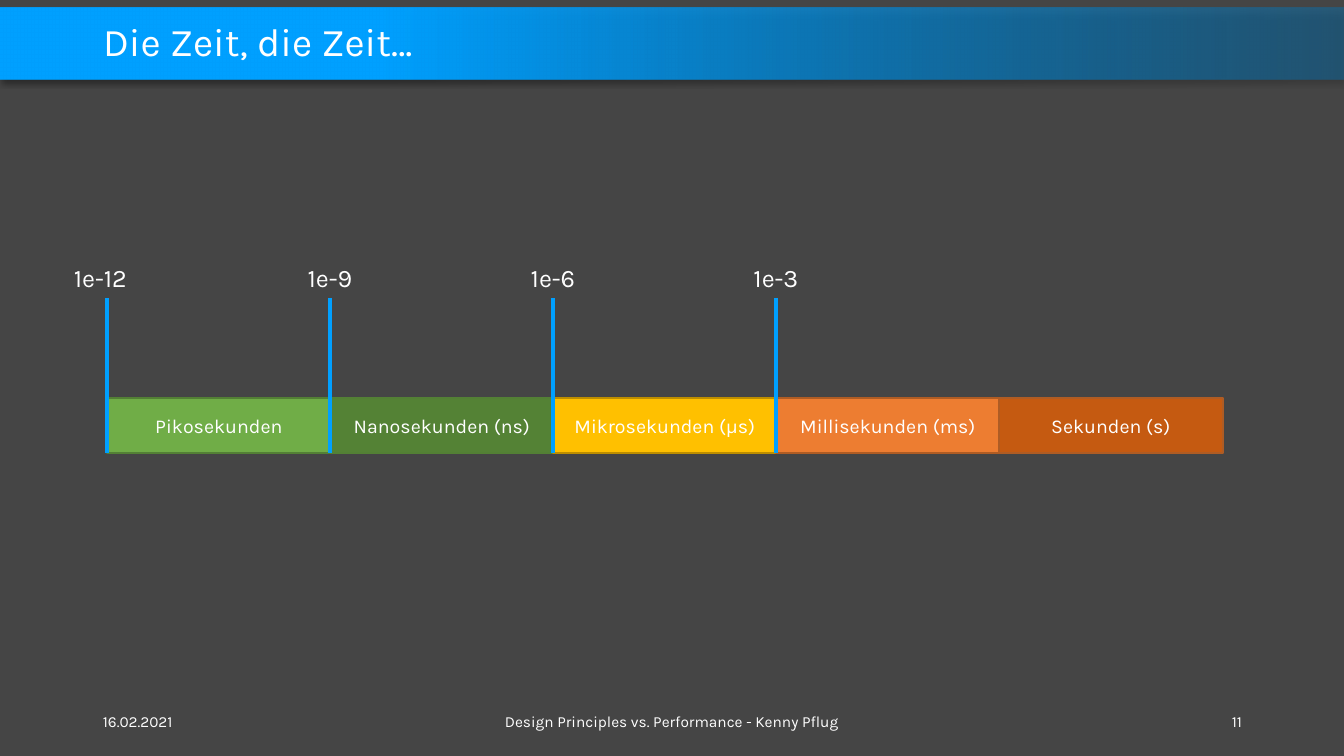
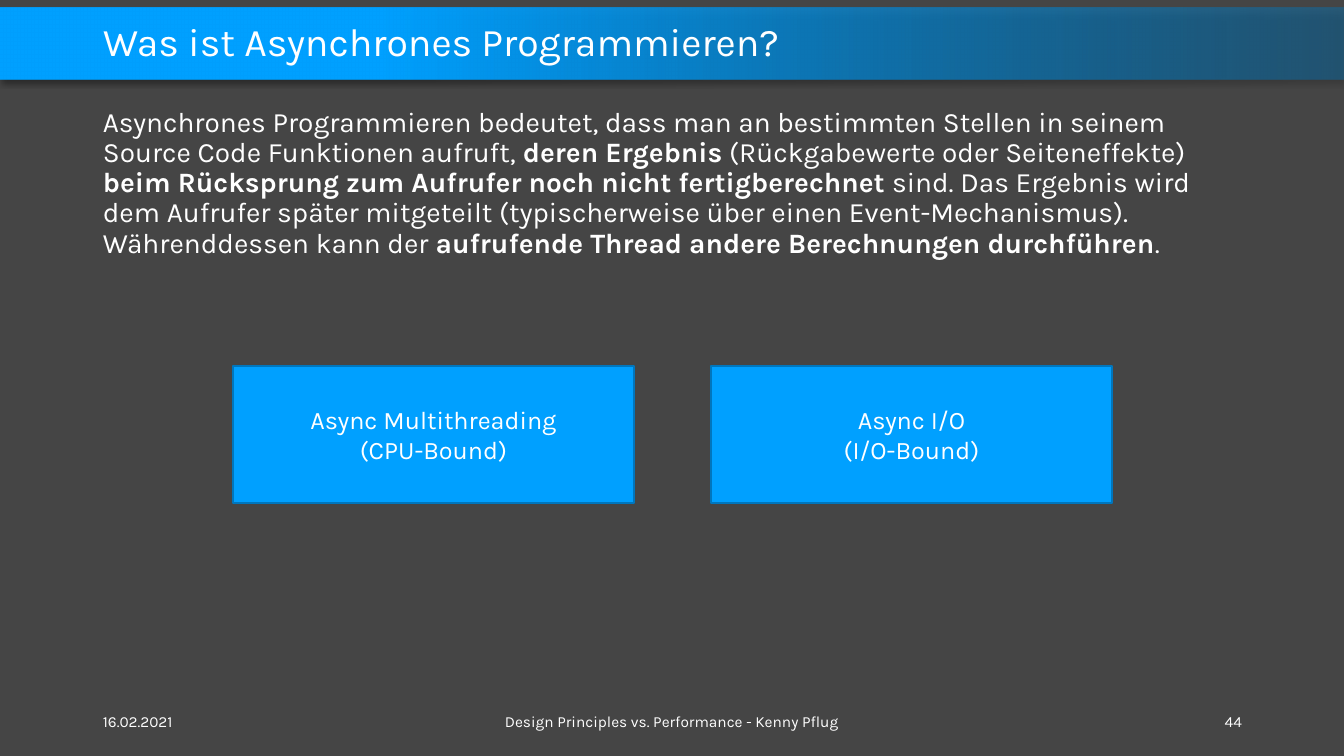
import pptx
import pptx.util
import pptx.dml.color
import pptx.enum.shapes
import pptx.enum.text
import pptx.oxml
import pptx.oxml.ns

EMU_PER_PX = 914400 / 100.8
WIDTH, HEIGHT = 1344, 756
MARGIN, CONTENT_WIDTH = 93, 1159
COLORS = {
    "background": "454545",
    "text": "FFFFFF",
    "accent": "00A0FF",
    "accent_edge": "0076BD",
    "band_fade": "0078BF",
    "green": "70AD47",
    "dark_green": "548235",
    "green_edge": "538035",
    "yellow": "FFC000",
    "yellow_edge": "BD8E00",
    "orange": "ED7D31",
    "dark_orange": "C55A11",
    "orange_edge": "AF5C24",
}
ALIGN = pptx.enum.text.PP_ALIGN
ANCHOR = pptx.enum.text.MSO_ANCHOR
AUTO_SIZE = pptx.enum.text.MSO_AUTO_SIZE
BAND_SHADOW = (
    f'<a:outerShdw {pptx.oxml.ns.nsdecls("a")} blurRad="50800" dist="38100" '
    'dir="5400000" algn="t" rotWithShape="0"><a:srgbClr val="000000">'
    '<a:alpha val="40000"/></a:srgbClr></a:outerShdw>'
)


def px(length):
    return pptx.util.Emu(round(length * EMU_PER_PX))


def rgb(name):
    return pptx.dml.color.RGBColor.from_string(COLORS[name])


def write(shape, text, size, align=ALIGN.LEFT, anchor=ANCHOR.MIDDLE,
          spacing=None, wrap=True, auto_size=AUTO_SIZE.NONE):
    """Fill a shape with text; ** switches bold on and off."""
    frame = shape.text_frame
    frame.word_wrap = wrap
    frame.auto_size = auto_size
    frame.vertical_anchor = anchor
    paragraph = frame.paragraphs[0]
    paragraph.alignment = align
    paragraph.line_spacing = spacing
    for chunk_index, chunk in enumerate(text.split("**")):
        for line_index, line in enumerate(chunk.split("\n")):
            if line_index:
                paragraph.add_line_break()
            run = paragraph.add_run()
            run.text = line
            run.font.name = "Karla"
            run.font.size = pptx.util.Pt(size)
            run.font.bold = chunk_index % 2 == 1
            run.font.color.rgb = rgb("text")


class Deck:
    def __init__(self):
        self.presentation = pptx.Presentation()
        self.presentation.slide_width = px(WIDTH)
        self.presentation.slide_height = px(HEIGHT)
        self.layout = self.presentation.slide_layouts[5]
        background = self.layout.background.fill
        background.solid()
        background.fore_color.rgb = rgb("background")
        self.slide = None

    def add_slide(self, title, number):
        is_first = self.slide is None
        self.slide = self.presentation.slides.add_slide(self.layout)
        if is_first:
            self.add_band_to_layout()
        heading = self.slide.shapes.title
        heading.left, heading.top = px(MARGIN), px(16)
        heading.width, heading.height = px(CONTENT_WIDTH), px(55)
        write(heading, title, size=28, spacing=0.9)
        right = MARGIN + CONTENT_WIDTH
        footers = [
            ("16.02.2021", MARGIN, 302, ALIGN.LEFT),
            ("Design Principles vs. Performance - Kenny Pflug", 445, 454, ALIGN.CENTER),
            (str(number), right - 302, 302, ALIGN.RIGHT),
        ]
        for text, left, width, align in footers:
            self.add_text(text, left, 701, width, 40, size=11, align=align)

    def add_band_to_layout(self):
        band = self.add_rectangle(0, 8, WIDTH, 71)
        band.fill.gradient()
        band.fill.gradient_angle = 180
        stops = [(0, "band_fade"), (0.72, "accent")]
        for stop, (position, color) in zip(band.fill.gradient_stops, stops):
            stop.position = position
            stop.color.rgb = rgb(color)
        properties = band.element.spPr
        fade = properties.find(".//" + pptx.oxml.ns.qn("a:srgbClr"))
        fade.append(pptx.oxml.parse_xml(
            f'<a:alpha {pptx.oxml.ns.nsdecls("a")} val="40000"/>'))
        effects = properties.find(pptx.oxml.ns.qn("a:effectLst"))
        effects.append(pptx.oxml.parse_xml(BAND_SHADOW))
        band.element.nvSpPr.cNvPr.id = 20
        self.layout.shapes.element.insert(2, band.element)

    def add_rectangle(self, left, top, width, height):
        rectangle = self.slide.shapes.add_shape(
            pptx.enum.shapes.MSO_SHAPE.RECTANGLE,
            px(left), px(top), px(width), px(height))
        rectangle.shadow.inherit = False
        rectangle.line.fill.background()
        return rectangle

    def add_box(self, text, left, top, width, height, fill, edge, size):
        box = self.add_rectangle(left, top, width, height)
        box.fill.solid()
        box.fill.fore_color.rgb = rgb(fill)
        box.line.color.rgb = rgb(edge)
        box.line.width = pptx.util.Pt(1)
        write(box, text, size=size, align=ALIGN.CENTER)

    def add_text(self, text, left, top, width, height, **text_format):
        box = self.slide.shapes.add_textbox(px(left), px(top), px(width), px(height))
        write(box, text, **text_format)

    def add_line(self, x, start_y, end_y):
        line = self.slide.shapes.add_connector(
            pptx.enum.shapes.MSO_CONNECTOR.STRAIGHT,
            px(x), px(start_y), px(x), px(end_y))
        line.line.color.rgb = rgb("accent")
        line.line.width = pptx.util.Pt(2.25)
        line.element.spPr.append(pptx.oxml.parse_xml(
            f'<a:effectLst {pptx.oxml.ns.nsdecls("a")}/>'))


def add_time_slide(deck):
    deck.add_slide("Die Zeit, die Zeit…", 11)
    start, step, top, height = 107, 223, 398, 55
    units = [
        ("Pikosekunden", "green", "green_edge"),
        ("Nanosekunden (ns)", "dark_green", "green_edge"),
        ("Mikrosekunden (µs)", "yellow", "yellow_edge"),
        ("Millisekunden (ms)", "orange", "orange_edge"),
        ("Sekunden (s)", "dark_orange", "orange_edge"),
    ]
    for index, (unit, fill, edge) in enumerate(units):
        deck.add_box(unit, start + index * step, top, step + 1, height,
                     fill, edge, size=14)
    limits = [
        ("1e-12", 86, ALIGN.LEFT),
        ("1e-9", 72, ALIGN.CENTER),
        ("1e-6", 72, ALIGN.CENTER),
        ("1e-3", 72, ALIGN.CENTER),
    ]
    for index, (limit, width, align) in enumerate(limits):
        x = start + index * step
        deck.add_line(x, top + height, 298)
        deck.add_text(limit, x - width // 2, 257, width, 40, size=18, align=align,
                      anchor=ANCHOR.TOP, wrap=False,
                      auto_size=AUTO_SIZE.SHAPE_TO_FIT_TEXT)


def add_async_slide(deck):
    deck.add_slide("Was ist Asynchrones Programmieren?", 44)
    definition = (
        "Asynchrones Programmieren bedeutet, dass man an bestimmten Stellen in "
        "seinem Source Code Funktionen aufruft, **deren Ergebnis** (Rückgabewerte "
        "oder Seiteneffekte) **beim Rücksprung zum Aufrufer noch nicht "
        "fertigberechnet** sind. Das Ergebnis wird dem Aufrufer später mitgeteilt "
        "(typischerweise über einen Event-Mechanismus). Währenddessen kann der "
        "**aufrufende Thread andere Berechnungen durchführen**."
    )
    deck.add_text(definition, MARGIN, 103, CONTENT_WIDTH, 588, size=20,
                  anchor=ANCHOR.TOP, spacing=0.9)
    kinds = ["Async Multithreading\n(CPU-Bound)", "Async I/O\n(I/O-Bound)"]
    for index, kind in enumerate(kinds):
        deck.add_box(kind, 233 + index * 478, 366, 401, 137,
                     "accent", "accent_edge", size=18)


def main():
    deck = Deck()
    add_time_slide(deck)
    add_async_slide(deck)
    deck.presentation.save("out.pptx")


if __name__ == "__main__":
    main()
